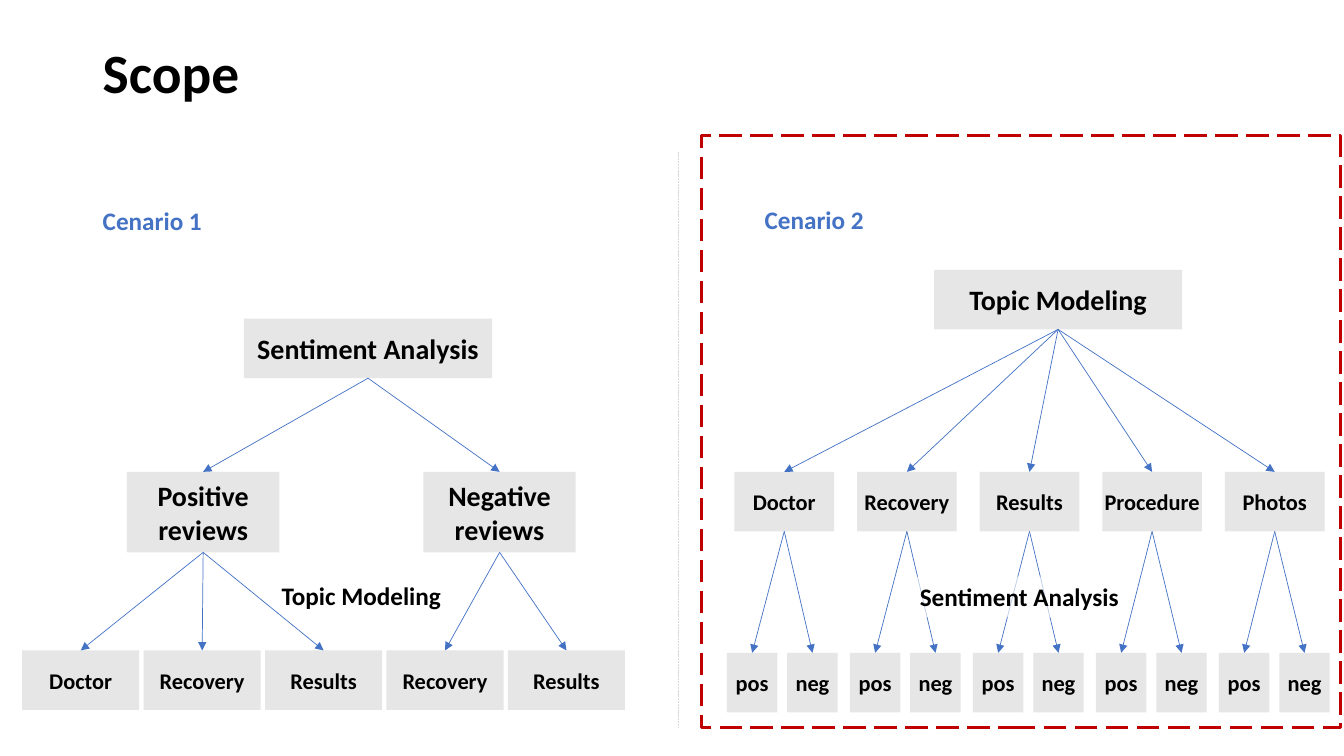
"""Build the Scope slide, which compares two orders of review analysis as trees."""
from dataclasses import dataclass

from lxml import etree
from pptx import Presentation
from pptx import util as u
from pptx.dml import color
from pptx.enum import dml, shapes, text
from pptx.oxml import ns
from pptx.shapes import autoshape, connector
from pptx.slide import Slide
from pptx.text.text import TextFrame

COLORS = {"ink": "000000", "blue": "4472C4", "box": "E7E6E6",
          "divider": "D9D9D9", "frame": "C00000", "white": "FFFFFF"}


@dataclass(frozen=True)
class Node:
    label: str
    x: float
    y: float
    w: float
    h: float = 1.5
    size: int = 16
    children: tuple["Node", ...] = ()


@dataclass(frozen=True)
class Label:
    label: str
    x: float
    y: float
    w: float
    h: float = 1.02
    size: float = 18
    ink: str = "ink"
    centred: bool = False
    veiled: bool = False


def rgb(name: str) -> color.RGBColor:
    return color.RGBColor.from_string(COLORS[name])


def write(tf: TextFrame, label: str, size: float, ink: str, centred: bool) -> None:
    tf.text = label
    p = tf.paragraphs[0]
    p.alignment = text.PP_ALIGN.CENTER if centred else text.PP_ALIGN.LEFT
    font = p.runs[0].font
    font.name, font.size, font.bold = "Calibri", u.Pt(size), True
    font.color.rgb = rgb(ink)


def draw_line(s: Slide, x1: int, y1: int, x2: int, y2: int, ink: str) -> connector.Connector:
    cn = s.shapes.add_connector(shapes.MSO_CONNECTOR.STRAIGHT, x1, y1, x2, y2)
    cn.line.color.rgb = rgb(ink)
    cn.line.width = u.Pt(0.5)
    etree.SubElement(cn._element.spPr, ns.qn("a:effectLst"))
    return cn


def draw_arrow(s: Slide, parent: autoshape.Shape, child: autoshape.Shape) -> None:
    cn = draw_line(s, 0, 0, 0, 0, "blue")
    cn.begin_connect(parent, 2)
    cn.end_connect(child, 0)
    etree.SubElement(cn.line._get_or_add_ln(), ns.qn("a:tailEnd"), type="triangle")


def draw_tree(s: Slide, node: Node) -> autoshape.Shape:
    sp = s.shapes.add_shape(shapes.MSO_SHAPE.ROUNDED_RECTANGLE, u.Cm(node.x), u.Cm(node.y),
                            u.Cm(node.w), u.Cm(node.h))
    sp.adjustments[0] = 0
    sp.shadow.inherit = False
    sp.fill.solid()
    sp.fill.fore_color.rgb = rgb("box")
    sp.line.fill.background()
    tf = sp.text_frame
    tf.word_wrap = True
    tf.vertical_anchor = text.MSO_ANCHOR.MIDDLE
    if node.size < 20:
        tf.margin_left = tf.margin_right = 0
    write(tf, node.label, node.size, "ink", True)
    for child in node.children:
        draw_arrow(s, sp, draw_tree(s, child))
    return sp


def draw_label(s: Slide, item: Label) -> TextFrame:
    sp = s.shapes.add_textbox(u.Cm(item.x), u.Cm(item.y), u.Cm(item.w), u.Cm(item.h))
    tf = sp.text_frame
    tf.word_wrap = not item.centred
    write(tf, item.label, item.size, item.ink, item.centred)
    if item.veiled:
        sp.fill.solid()
        sp.fill.fore_color.rgb = rgb("white")
        veil = sp._element.spPr.find(f".//{ns.qn('a:srgbClr')}")
        etree.SubElement(veil, ns.qn("a:alpha"), val="64000")
    return tf


def draw_frame(s: Slide) -> None:
    sp = s.shapes.add_shape(shapes.MSO_SHAPE.RECTANGLE, u.Cm(17.68), u.Cm(3.41),
                            u.Cm(16.1), u.Cm(14.93))
    sp.shadow.inherit = False
    sp.fill.background()
    sp.line.color.rgb = rgb("frame")
    sp.line.width = u.Pt(2)
    sp.line.dash_style = dml.MSO_LINE.LONG_DASH


def sentiment_first() -> Node:
    topics = [Node(name, 0.56 + 3.06 * i, 16.39, 2.95) for i, name in
              enumerate(["Doctor", "Recovery", "Results", "Recovery", "Results"])]
    reviews = (Node("Positive reviews", 3.2, 11.89, 3.84, 2.03, 20, tuple(topics[:3])),
               Node("Negative reviews", 10.67, 11.89, 3.84, 2.03, 20, tuple(topics[3:])))
    return Node("Sentiment Analysis", 6.15, 8.03, 6.25, 1.5, 20, reviews)


def topics_first() -> Node:
    topics = []
    for i, name in enumerate(["Doctor", "Recovery", "Results", "Procedure", "Photos"]):
        moods = tuple(Node(mood, 18.32 + 3.1 * i + 1.52 * j, 16.45, 1.27)
                      for j, mood in enumerate(["pos", "neg"]))
        topics.append(Node(name, 18.51 + 3.09 * i, 11.89, 2.51, children=moods))
    return Node("Topic Modeling", 23.54, 6.8, 6.25, 1.5, 20, tuple(topics))


def main() -> None:
    prs = Presentation()
    prs.slide_width, prs.slide_height = u.Cm(33.87), u.Cm(19.05)
    s = prs.slides.add_slide(prs.slide_layouts[6])
    title = draw_label(s, Label("Scope", 2.34, 1.02, 29.21, 1.78, 39.6))
    title.vertical_anchor = text.MSO_ANCHOR.MIDDLE
    title.paragraphs[0].line_spacing = 0.9
    for tree in (sentiment_first(), topics_first()):
        draw_tree(s, tree)
    divider = draw_line(s, u.Cm(17.1), u.Cm(3.84), u.Cm(17.1), u.Cm(18.34), "divider")
    divider.line.dash_style = dml.MSO_LINE.SQUARE_DOT
    draw_frame(s)
    for item in (Label("Topic Modeling", 6.83, 14.5, 4.55, centred=True),
                 Label("Cenario 1", 2.34, 5.04, 8.33, ink="blue"),
                 Label("Cenario 2", 19.02, 5.03, 8.33, ink="blue"),
                 Label("Sentiment Analysis", 22.91, 14.53, 5.56, centred=True, veiled=True)):
        draw_label(s, item)
    prs.save("out.pptx")


if __name__ == "__main__":
    main()
